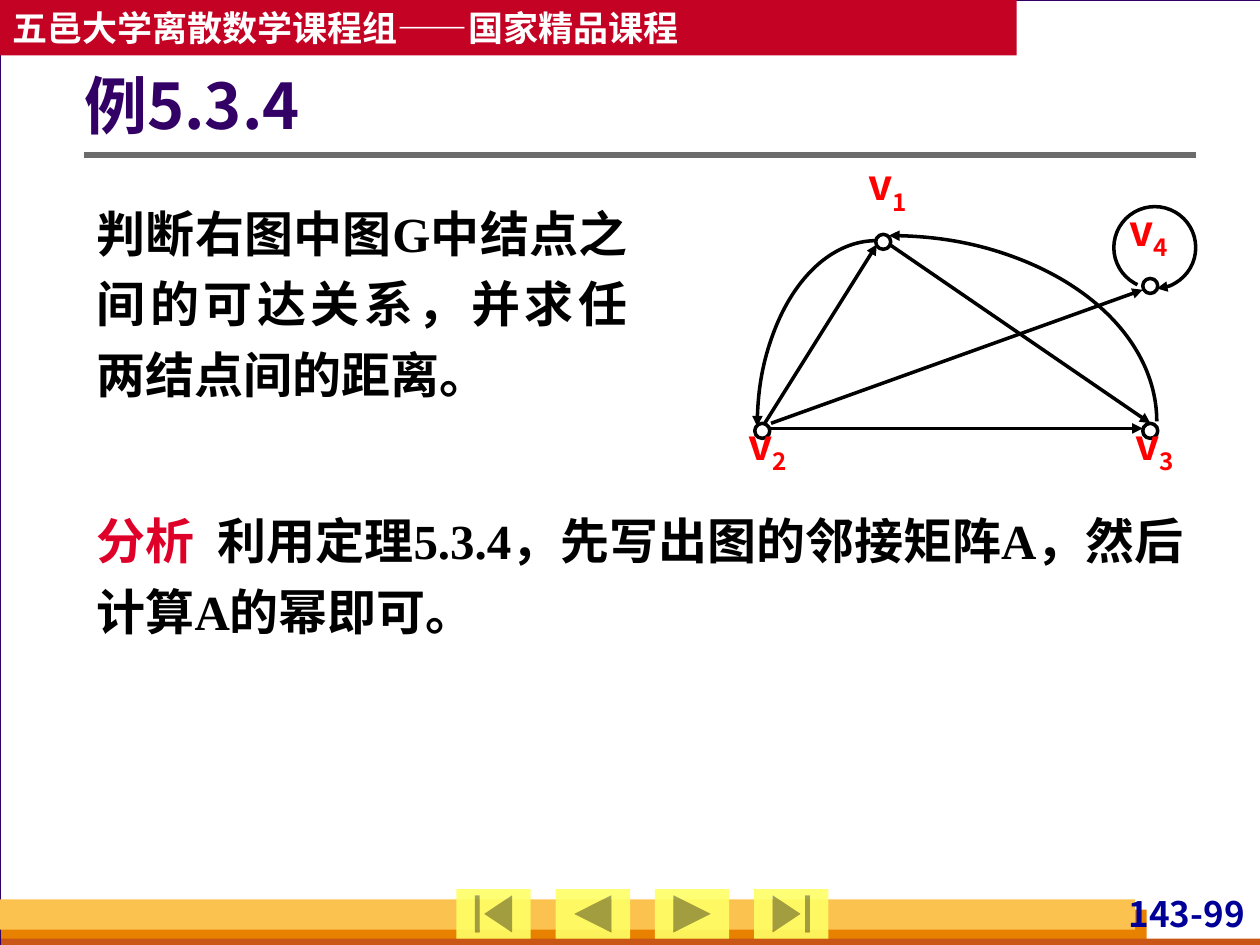
"""Build the slide on reachability in a directed graph, example 5.3.4."""
import pptx
import pptx.dml.color
import pptx.enum.shapes
import pptx.enum.text
import pptx.oxml.ns
import pptx.util
from lxml import etree

Pt = pptx.util.Pt
RGBColor = pptx.dml.color.RGBColor
SHAPE = pptx.enum.shapes.MSO_SHAPE
ALIGN = pptx.enum.text.PP_ALIGN
ANCHOR = pptx.enum.text.MSO_ANCHOR
qn = pptx.oxml.ns.qn

BACKGROUND = RGBColor(0xD8, 0xDA, 0xDA)
WHITE = RGBColor(0xFF, 0xFF, 0xFF)
BLACK = RGBColor(0x00, 0x00, 0x00)
PURPLE = RGBColor(0x33, 0x00, 0x66)
CRIMSON = RGBColor(0xC3, 0x02, 0x24)
ORANGE = RGBColor(0xE8, 0x80, 0x00)
RUST = RGBColor(0xC9, 0x56, 0x16)
AMBER = RGBColor(0xFC, 0xC2, 0x4F)
NAVY = RGBColor(0x00, 0x00, 0x99)
GRAY = RGBColor(0x6B, 0x6B, 0x6B)
YELLOW = RGBColor(0xFF, 0xFF, 0x66)
ACCENT = RGBColor(0xDF, 0x00, 0x29)
RED = RGBColor(0xFF, 0x00, 0x00)

SANS = "Noto Sans CJK SC"
SERIF = "Times New Roman"
NODE_SIZE = 8.6


def add_child(parent, tag, **attrs):
    """Append an XML element with attributes to a parent."""
    child = etree.SubElement(parent, qn(tag))
    for name, value in attrs.items():
        child.set(name, str(value))
    return child


def add_shape(s, kind, box, fill=None, line=None, width=2):
    """Add a preset shape with optional fill and outline."""
    sp = s.shapes.add_shape(kind, *map(Pt, box))
    sp.shadow.inherit = False
    if fill is None:
        sp.fill.background()
    else:
        sp.fill.solid()
        sp.fill.fore_color.rgb = fill
    if line is None:
        sp.line.fill.background()
    else:
        sp.line.color.rgb = line
        sp.line.width = Pt(width)
    return sp


def add_arrowhead(sp, end):
    """Put a triangle on the headEnd or tailEnd of a line."""
    add_child(sp.element.spPr.find(qn("a:ln")), "a:" + end, type="triangle")


def add_line(s, start, end, color, width):
    """Add a straight connector without a shadow."""
    cn = s.shapes.add_connector(
        pptx.enum.shapes.MSO_CONNECTOR.STRAIGHT, *map(Pt, start + end))
    cn.line.color.rgb = color
    cn.line.width = Pt(width)
    add_child(cn.element.spPr, "a:effectLst")
    return cn


def add_arc(s, box, start, sweep_end, end):
    """Add an arrowed arc between two angles in degrees."""
    sp = add_shape(s, SHAPE.ARC, box, line=BLACK)
    sp.adjustments[0] = start * 0.6
    sp.adjustments[1] = sweep_end * 0.6
    add_arrowhead(sp, end)


def write_text(sp, runs, size, font=SANS, align=ALIGN.LEFT, insets=(7.2, 3.6),
               anchor=ANCHOR.TOP, wrap=True, spacing=None, tab=None):
    """Write one bold paragraph of (text, color, baseline) runs."""
    tf = sp.text_frame
    tf.word_wrap = wrap
    tf.vertical_anchor = anchor
    tf.margin_left = tf.margin_right = Pt(insets[0])
    tf.margin_top = tf.margin_bottom = Pt(insets[1])
    p = tf.paragraphs[0]
    p.alignment = align
    if spacing:
        p.line_spacing = spacing
    if tab:
        tabs = add_child(p._p.get_or_add_pPr(), "a:tabLst")
        add_child(tabs, "a:tab", pos=Pt(tab), algn="l")
    for text, color, baseline in runs:
        r = p.add_run()
        r.text = text
        r.font.size = Pt(size)
        r.font.bold = True
        r.font.name = font
        r.font.color.rgb = color
        add_child(r.font._element, "a:ea", typeface=SANS)
        if baseline:
            r.font._element.set("baseline", str(baseline))


def add_text(s, box, runs, size, **options):
    """Add a text box holding one paragraph."""
    sp = s.shapes.add_textbox(*map(Pt, box))
    write_text(sp, runs, size, **options)
    return sp


def add_frame(s):
    """Draw the page, banner, footer bands, page number and title rule."""
    add_shape(s, SHAPE.RECTANGLE, (0, 0, 720.7, 540), WHITE, PURPLE, 0.75)
    banner = add_shape(s, SHAPE.RECTANGLE, (0, 0, 581, 31.7), CRIMSON)
    write_text(banner, [("五邑大学离散数学课程组——国家精品课程", WHITE, 0)], 20,
               anchor=ANCHOR.MIDDLE, wrap=False)
    add_shape(s, SHAPE.RECTANGLE, (0.7, 519.8, 654.5, 20.2), ORANGE)
    add_shape(s, SHAPE.RECTANGLE, (0.7, 536.4, 720, 5.8), RUST)
    add_shape(s, SHAPE.RECTANGLE, (0, 514, 648.7, 17.3), AMBER)
    add_text(s, (626.4, 509.8, 87.8, 23.8), [("143-99", NAVY, 0)], 20,
             align=ALIGN.RIGHT, insets=(2.9, 0))
    add_line(s, (48.2, 88.6), (683.3, 88.6), GRAY, 3)


def add_buttons(s):
    """Add the four navigation buttons at equal steps."""
    kinds = (SHAPE.ACTION_BUTTON_BEGINNING,
             SHAPE.ACTION_BUTTON_BACK_OR_PREVIOUS,
             SHAPE.ACTION_BUTTON_FORWARD_OR_NEXT,
             SHAPE.ACTION_BUTTON_END)
    for i, kind in enumerate(kinds):
        sp = add_shape(s, kind, (260.8 + 56.7 * i, 508.1, 42.5, 28.3), YELLOW)
        color = sp.element.spPr.find(qn("a:solidFill"))[0]
        add_child(color, "a:alpha", val=90000)


def add_graph(s):
    """Draw the directed graph with its loop, nodes, labels and edges."""
    add_arc(s, (636.5, 118.1, 46.8, 46.8), 115, 87, "tailEnd")
    nodes = (
        ("1", (500.4, 133.9), (490.3, 90.7)),
        ("2", (431.3, 241.9), (421.9, 239)),
        ("4", (653, 159.1), (639.4, 116.6)),
        ("3", (653, 241.9), (643, 239)),
    )
    for _, corner, _ in nodes:
        add_shape(s, SHAPE.OVAL, corner + (NODE_SIZE, NODE_SIZE), WHITE, BLACK)
    for number, _, corner in nodes:
        add_text(s, corner + (33.8, 42.5), [("v", RED, 0), (number, RED, -25000)],
                 24, align=ALIGN.CENTER, insets=(0, 0))
    add_arc(s, (432.7, 137.5, 136.1, 212.4), 180, 270, "headEnd")
    add_arc(s, (355, 134.6, 306, 212.4), 270, 0, "headEnd")
    edges = (
        ((439.9, 244.8), (653, 244.8)),
        ((437, 241.9), (501.1, 139.7)),
        ((440.6, 241.9), (653, 165.6)),
        ((508.3, 139.7), (657.4, 241.9)),
    )
    for start, end in edges:
        add_arrowhead(add_line(s, start, end, BLACK, 2), "tailEnd")


def main():
    """Build and save the slide."""
    prs = pptx.Presentation()
    prs.slide_width, prs.slide_height = Pt(720), Pt(540)
    s = prs.slides.add_slide(prs.slide_layouts[6])
    s.background.fill.solid()
    s.background.fill.fore_color.rgb = BACKGROUND
    add_frame(s)
    add_buttons(s)
    title = add_text(s, (48.2, 25.9, 635, 72.7), [("例5.3.4", PURPLE, 0)], 36,
                     anchor=ANCHOR.MIDDLE, spacing=0.9)
    title.text_frame.margin_left = 0
    body = {"font": SERIF, "align": ALIGN.JUSTIFY, "spacing": 1.2}
    add_text(s, (48.2, 105.8, 317.5, 128.2),
             [("判断右图中图G中结点之间的可达关系，并求任两结点间的距离。", BLACK, 0)],
             28, **body)
    add_text(s, (48.2, 281.5, 635, 87.8),
             [("分析\t", ACCENT, 0),
              ("利用定理5.3.4，先写出图的邻接矩阵A，然后计算A的幂即可。", BLACK, 0)],
             28, tab=69, **body)
    add_graph(s)
    prs.save("out.pptx")


if __name__ == "__main__":
    main()
